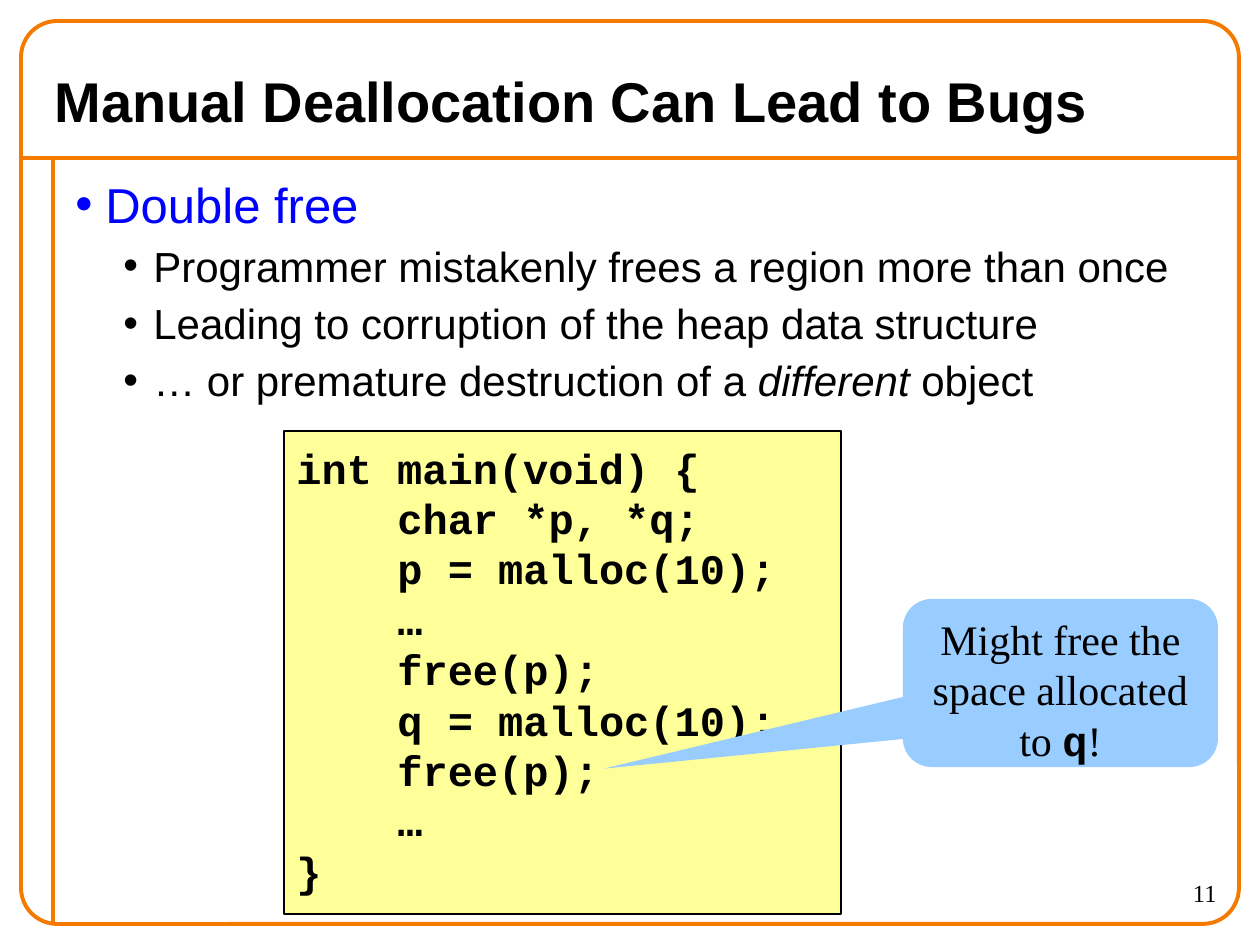
from pptx import Presentation
from pptx import util as u
from pptx.dml.color import RGBColor
from pptx.enum import shapes, text
from pptx.oxml.ns import qn
from lxml import etree

ORANGE = RGBColor(0xF4, 0x7A, 0x00)
BLUE = RGBColor(0x00, 0x00, 0xFF)
BLACK = RGBColor(0x00, 0x00, 0x00)
YELLOW = RGBColor(0xFF, 0xFF, 0x99)
SKY = RGBColor(0x99, 0xCC, 0xFF)
SERIF = "Times New Roman"
MONO = "Courier New"
SCALE = 914400 / 126


def px(*lengths):
    return [u.Emu(round(length * SCALE)) for length in lengths]


def write(frame, content, size=24, font="Arial", color=BLACK, bold=False, italic=False,
          align=text.PP_ALIGN.LEFT, new=True, before=0, leading=None,
          margin=0, indent=0, bullet=None):
    if new and frame.paragraphs[0].runs:
        frame.add_paragraph()
    para = frame.paragraphs[-1]
    span = para.add_run()
    span.text = content
    span.font.size = u.Pt(size)
    span.font.name = font
    span.font.color.rgb = color
    span.font.bold = bold
    span.font.italic = italic
    if not new:
        return
    para.alignment = align
    para.space_before = u.Pt(before)
    if leading:
        para.line_spacing = u.Pt(leading)
    props = para._p.get_or_add_pPr()
    props.set("marL", str(px(margin)[0]))
    props.set("indent", str(px(indent)[0]))
    if bullet:
        etree.SubElement(props, qn("a:buFont"), typeface="Arial")
        etree.SubElement(props, qn("a:buChar"), char=bullet)


deck = Presentation()
deck.slide_width, deck.slide_height = px(1260, 945)
page = deck.slides.add_slide(deck.slide_layouts[6])

for ends in [(21, 158, 1239, 158), (53, 158, 53, 924)]:
    rule = page.shapes.add_connector(shapes.MSO_CONNECTOR.STRAIGHT, *px(*ends))
    rule.line.color.rgb = ORANGE
    rule.line.width = u.Pt(2.25)
    etree.SubElement(rule._element.spPr, qn("a:effectLst"))

border = page.shapes.add_shape(shapes.MSO_SHAPE.ROUNDED_RECTANGLE, *px(21, 21, 1218, 903))
border.adjustments[0] = 0.04
border.fill.background()
border.line.color.rgb = ORANGE
border.line.width = u.Pt(2.25)
border.shadow.inherit = False

number = page.shapes.add_textbox(*px(1103, 872, 126, 53)).text_frame
number.word_wrap = True
write(number, "11", size=14, font=SERIF, align=text.PP_ALIGN.RIGHT)

title = page.shapes.add_textbox(*px(42, 53, 1176, 95)).text_frame
title.word_wrap = True
title.vertical_anchor = text.MSO_ANCHOR.MIDDLE
write(title, "Manual Deallocation Can Lead to Bugs", size=32, bold=True)

body = page.shapes.add_textbox(*px(63, 168, 1166, 756)).text_frame
body.word_wrap = True
write(body, "Double free", size=28, color=BLUE, margin=30, indent=-30, bullet="•")
for point in ["Programmer mistakenly frees a region more than once",
              "Leading to corruption of the heap data structure",
              "… or premature destruction of a "]:
    write(body, point, before=4, margin=78, indent=-30, bullet="•")
write(body, "different", italic=True, new=False)
write(body, " object", new=False)

code = page.shapes.add_shape(shapes.MSO_SHAPE.RECTANGLE, *px(284, 431, 557, 483))
code.fill.solid()
code.fill.fore_color.rgb = YELLOW
code.line.color.rgb = BLACK
code.line.width = u.Pt(0.75)
code.shadow.inherit = False
code.text_frame.vertical_anchor = text.MSO_ANCHOR.TOP
code.text_frame.margin_top = px(11)[0]
for depth, line in [(0, "int main(void) {"), (1, "char *p, *q;"), (1, "p = malloc(10);"),
                    (1, "…"), (1, "free(p);"), (1, "q = malloc(10);"),
                    (1, "free(p);"), (1, "…"), (0, "}")]:
    write(code.text_frame, line, font=MONO, bold=True, leading=28.8, margin=depth * 101)

callout = page.shapes.add_shape(shapes.MSO_SHAPE.ROUNDED_RECTANGULAR_CALLOUT,
                                *px(903, 599, 315, 168))
for index, value in enumerate([-1.45, 0.51, 0.17]):
    callout.adjustments[index] = value
callout.fill.solid()
callout.fill.fore_color.rgb = SKY
callout.line.fill.background()
callout.shadow.inherit = False
note = callout.text_frame
note.word_wrap = True
note.vertical_anchor = text.MSO_ANCHOR.TOP
write(note, "Might free the space allocated to ", font=SERIF,
      align=text.PP_ALIGN.CENTER, leading=28.8)
write(note, "q", font=MONO, bold=True, new=False)
write(note, "!", font=SERIF, new=False)

deck.save("out.pptx")
